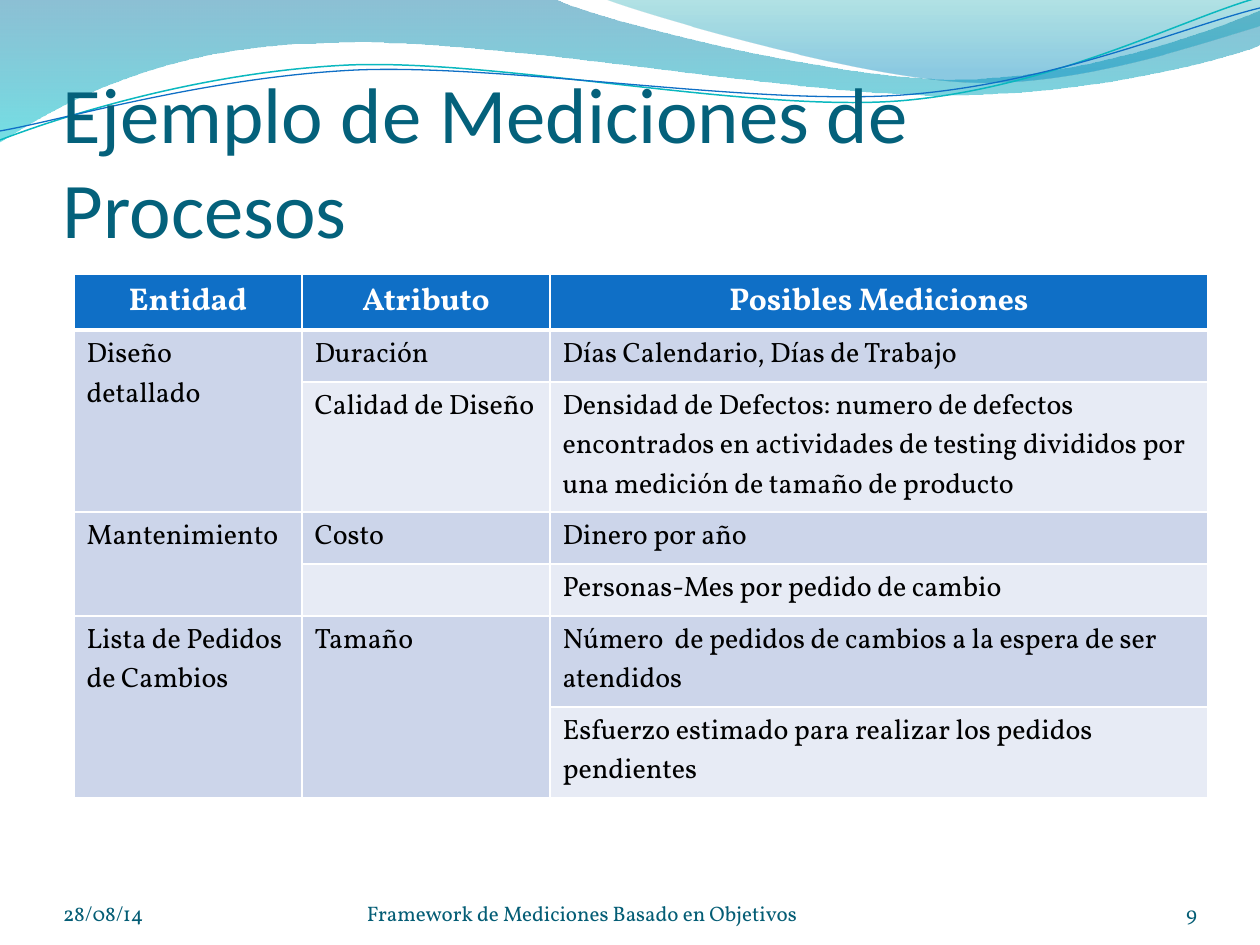
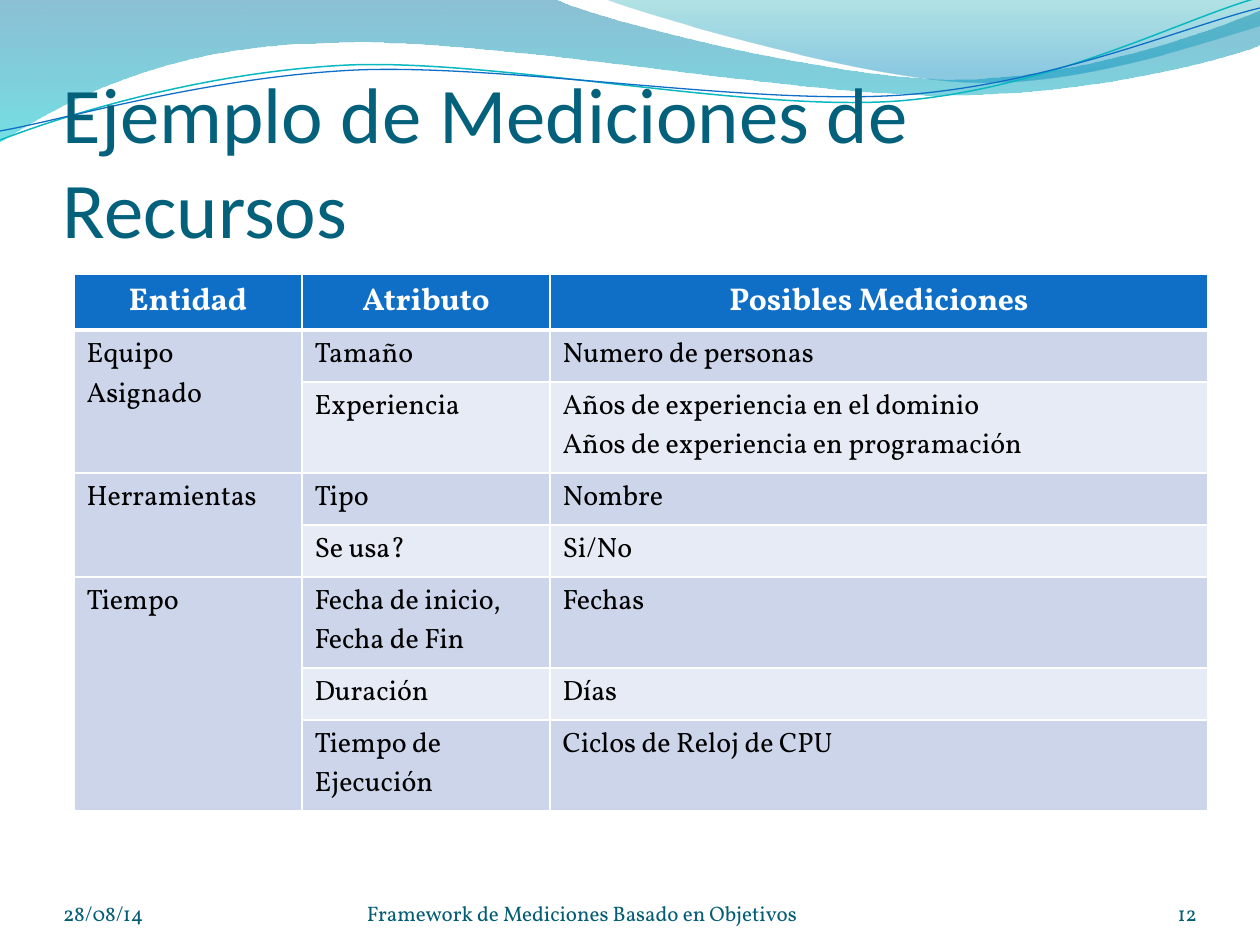
from lxml import etree
from pptx import Presentation
from pptx.dml.color import RGBColor
from pptx.enum.text import MSO_ANCHOR, PP_ALIGN
from pptx.oxml.ns import qn
from pptx.util import Pt

LEFT, CENTER, RIGHT = PP_ALIGN.LEFT, PP_ALIGN.CENTER, PP_ALIGN.RIGHT
BOTTOM = MSO_ANCHOR.BOTTOM

# Scale: 126 px to the inch
EMU_PER_PX = 914400 / 126
PAGE_W, PAGE_H = 1260, 945

# Colours
WHITE = RGBColor(0xFF, 0xFF, 0xFF)
BLACK = RGBColor(0x00, 0x00, 0x00)
TITLE_TEAL = RGBColor(0x04, 0x61, 0x7B)
FOOTER_TEAL = RGBColor(0x04, 0x5D, 0x75)
HEADER_BLUE = RGBColor(0x0F, 0x6F, 0xC6)
BAND_DARK = RGBColor(0xCC, 0xD5, 0xEA)
BAND_LIGHT = RGBColor(0xE7, 0xEB, 0xF5)
LINE_TEAL = RGBColor(0x0A, 0xB8, 0xBF)
WAVE_BLUE = RGBColor(0x00, 0x74, 0xA1)
WAVE_CYAN = RGBColor(0x00, 0xC6, 0xCF)
CREST_TEAL = RGBColor(0x00, 0xA1, 0xA9)
CREST_BLUE = RGBColor(0x00, 0x8B, 0xBF)

# Outlines: a start point, then segments of one point (line) or three (Bézier)
WAVE = [(0, 0), [(554, -1)],
        [(600, 21), (837, 79), (955, 79)], [(1075, 79), (1207, 33), (1260, 11)],
        [(1261, 45)],
        [(1239, 55), (1096, 96), (940, 95)], [(784, 95), (481, 35), (324, 43)],
        [(163, 45), (58, 105), (-1, 142)]]
CREST = [(604, -1), [(641, 14), (859, 78), (969, 82)],
         [(1079, 87), (1211, 40), (1260, 26)], [(1260, 0)]]
TEAL_CURVE = [(0, 140), [(60, 117), (199, 72), (349, 65)],
              [(498, 59), (747, 112), (898, 101)],
              [(1050, 89), (1182, 19), (1257, -2)]]
BLUE_CURVE = [(0, 131), [(59, 121), (207, 77), (357, 70)],
              [(508, 64), (752, 106), (903, 95)],
              [(1053, 84), (1186, 26), (1260, 8)]]

# Table content; None continues the cell above
COLUMN_WIDTHS = [228, 248, 658]
HEADER_HEIGHT, LINE_HEIGHT, ROW_PADDING = 56, 39, 13
HEADINGS = ["Entidad", "Atributo", "Posibles Mediciones"]
PROCESS_ROWS = [
    ["Diseño detallado", "Duración", "Días Calendario, Días de Trabajo"],
    [None, "Calidad de Diseño",
     "Densidad de Defectos: numero de defectos encontrados en actividades de "
     "testing divididos por una medición de tamaño de producto"],
    ["Mantenimiento", "Costo", "Dinero por año"],
    [None, "", "Personas-Mes por pedido de cambio"],
    ["Lista de Pedidos de Cambios", "Tamaño",
     "Número  de pedidos de cambios a la espera de ser atendidos"],
    [None, None, "Esfuerzo estimado para realizar los pedidos pendientes"],
]
PROCESS_LINES = [1, 3, 1, 1, 2, 2]
RESOURCE_ROWS = [
    ["Equipo Asignado", "Tamaño", "Numero de personas"],
    [None, "Experiencia",
     "Años de experiencia en el dominio\nAños de experiencia en programación"],
    ["Herramientas", "Tipo", "Nombre"],
    [None, "Se usa?", "Si/No"],
    ["Tiempo", "Fecha de inicio, Fecha de Fin", "Fechas"],
    [None, "Duración", "Días"],
    [None, "Tiempo de Ejecución", "Ciclos de Reloj de CPU"],
]
RESOURCE_LINES = [1, 2, 1, 1, 2, 1, 2]


def px(length):
    return round(length * EMU_PER_PX)


class Deck:
    def __init__(self):
        self.deck = Presentation()
        self.deck.slide_width, self.deck.slide_height = px(PAGE_W), px(PAGE_H)
        self.page = None

    def add_page(self, title, number):
        self.page = self.deck.slides.add_slide(self.deck.slide_layouts[6])
        # Waves
        self.wave(WAVE, [(0, WAVE_BLUE, 45), (1, WAVE_CYAN, 55)])
        self.wave(CREST, [(0, CREST_TEAL, 30), (0.8, CREST_BLUE, 45)])
        self.curve(TEAL_CURVE, LINE_TEAL, 0.85)
        self.curve(BLUE_CURVE, HEADER_BLUE, 0.75)
        # Title and footer
        self.text(title, 63, 97, 1134, 157, "Calibri", 45, TITLE_TEAL, top_inset=6)
        for footer, left, width, align in [
                ("28/08/14", 63, 294, LEFT),
                ("Framework de Mediciones Basado en Objetivos", 367, 462, LEFT),
                (number, 1092, 105, RIGHT)]:
            self.text(footer, left, 876, width, 50, "Vollkorn", 12, FOOTER_TEAL, align)

    def outline(self, outline, close):
        start, *segments = outline
        points = [(px(x), px(y)) for segment in segments for x, y in segment]
        builder = self.page.shapes.build_freeform(px(start[0]), px(start[1]))
        builder.add_line_segments(points, close=close)
        shape = builder.convert_to_shape()
        shape.shadow.inherit = False
        # Turn each run of three straight steps into one Bézier curve
        steps = iter(list(shape._element.spPr.iter(qn("a:lnTo"))))
        for segment in segments:
            first, *others = [next(steps) for _ in segment]
            if others:
                first.tag = qn("a:cubicBezTo")
                for step in others:
                    first.append(step[0])
                    step.getparent().remove(step)
        return shape

    def wave(self, outline, stops):
        shape = self.outline(outline, close=True)
        shape.line.fill.background()
        shape.fill.gradient()
        shape.fill.gradient_angle = 270
        for stop, (position, color, _) in zip(shape.fill.gradient_stops, stops):
            stop.position = position
            stop.color.rgb = color
        colors = shape._element.spPr.iter(qn("a:srgbClr"))
        for element, (_, _, opacity) in zip(list(colors), stops):
            etree.SubElement(element, qn("a:alpha"), val=str(opacity * 1000))

    def curve(self, outline, color, width):
        shape = self.outline(outline, close=False)
        shape.fill.background()
        shape.line.color.rgb = color
        shape.line.width = Pt(width)

    def style(self, frame, font, size, color, align=LEFT, bold=False):
        for para in frame.paragraphs:
            para.alignment = align
            para.font.name, para.font.size = font, Pt(size)
            para.font.bold, para.font.color.rgb = bold, color

    def text(self, text, left, top, width, height, font, size, color,
             align=LEFT, top_inset=0):
        box = self.page.shapes.add_textbox(px(left), px(top), px(width), px(height))
        frame = box.text_frame
        frame.word_wrap = True
        frame.vertical_anchor = BOTTOM
        frame.margin_left = frame.margin_right = frame.margin_bottom = 0
        frame.margin_top = px(top_inset)
        frame.text = text
        self.style(frame, font, size, color, align)

    def borders(self, cell, top, bottom):
        properties = cell._tc.get_or_add_tcPr()
        for side, width in [("L", 1), ("R", 1), ("T", top), ("B", bottom)]:
            line = etree.SubElement(properties, qn(f"a:ln{side}"), w=str(Pt(width)))
            fill = etree.SubElement(line, qn("a:solidFill"))
            etree.SubElement(fill, qn("a:srgbClr"), val=str(WHITE))

    def table(self, body, line_counts):
        rows = [HEADINGS, *body]
        heights = [HEADER_HEIGHT] + [ROW_PADDING + LINE_HEIGHT * n for n in line_counts]
        table = self.page.shapes.add_table(
            len(rows), len(HEADINGS), px(74), px(274),
            px(sum(COLUMN_WIDTHS)), px(sum(heights))).table
        table.first_row = table.horz_banding = False
        for column, width in zip(table.columns, COLUMN_WIDTHS):
            column.width = px(width)
        for row, height in zip(table.rows, heights):
            row.height = px(height)
        for i, row in enumerate(rows):
            for j, text in enumerate(row):
                cell = table.cell(i, j)
                self.borders(cell, 3 if i == 1 else 1, 3 if i == 0 else 1)
                cell.fill.solid()
                cell.fill.fore_color.rgb = (HEADER_BLUE if i == 0 else
                                            BAND_DARK if i % 2 else BAND_LIGHT)
                cell.text = text or ""
                if i == 0:
                    self.style(cell.text_frame, "Vollkorn", 18, WHITE, CENTER, True)
                else:
                    self.style(cell.text_frame, "Vollkorn", 16, BLACK)
        # Join each cell with the empty ones below it
        for j in range(len(HEADINGS)):
            starts = [i for i, row in enumerate(rows) if row[j] is not None]
            for first, following in zip(starts, starts[1:] + [len(rows)]):
                if following - first > 1:
                    table.cell(first, j).merge(table.cell(following - 1, j))


def main():
    deck = Deck()
    # Process measurements
    deck.add_page("Ejemplo de Mediciones de Procesos", "9")
    deck.table(PROCESS_ROWS, PROCESS_LINES)
    # Resource measurements
    deck.add_page("Ejemplo de Mediciones de Recursos", "12")
    deck.table(RESOURCE_ROWS, RESOURCE_LINES)
    deck.deck.save("out.pptx")


if __name__ == "__main__":
    main()
